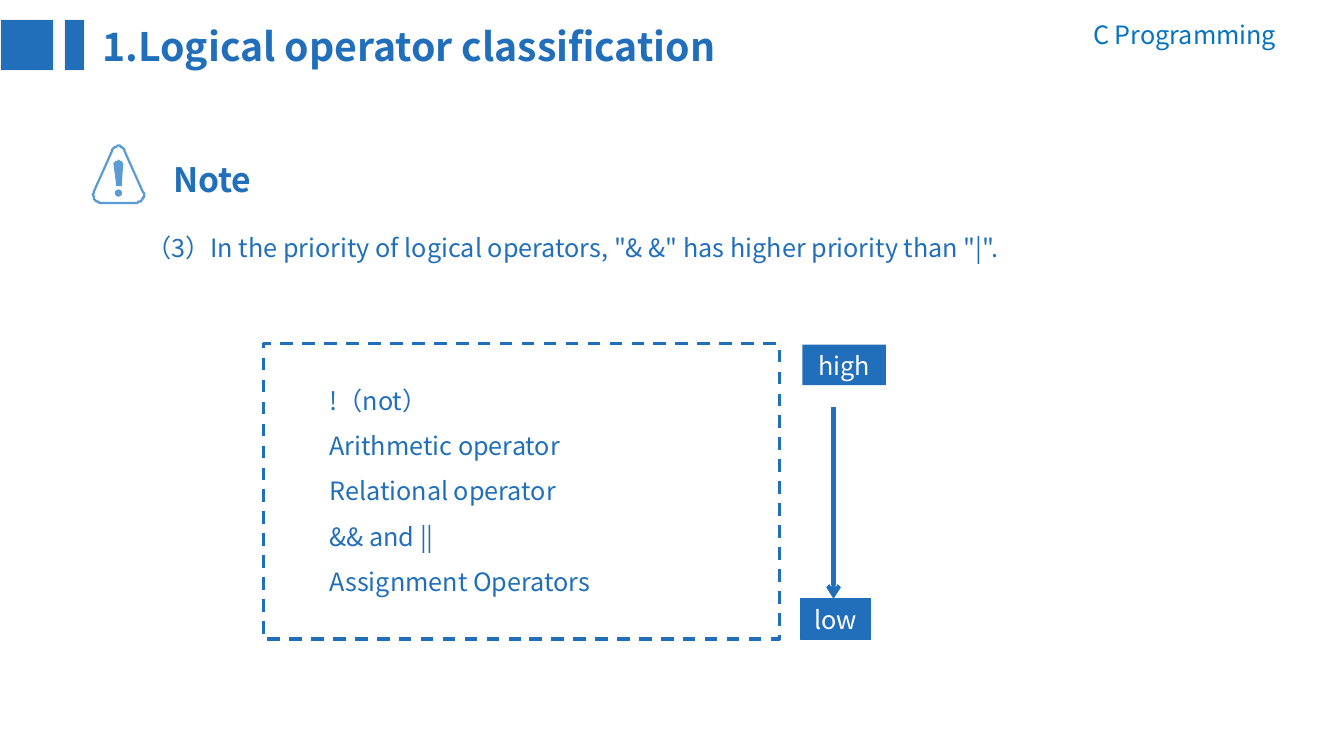
from dataclasses import dataclass
from math import hypot

from lxml.etree import SubElement
from pptx import Presentation
from pptx.dml.color import RGBColor
from pptx.enum.dml import MSO_LINE
from pptx.enum.shapes import MSO_CONNECTOR, MSO_SHAPE
from pptx.enum.text import MSO_ANCHOR, PP_ALIGN
from pptx.oxml.ns import qn
from pptx.shapes.autoshape import Shape
from pptx.text.text import TextFrame
from pptx.util import Pt


@dataclass(frozen=True)
class Theme:
    font: str = "Noto Sans CJK SC"
    blue: RGBColor = RGBColor(0x21, 0x6F, 0xBA)
    course: RGBColor = RGBColor(0x05, 0x73, 0xC2)
    icon: RGBColor = RGBColor(0x5B, 0x9B, 0xD5)
    pale: RGBColor = RGBColor(0xF2, 0xF2, 0xF2)
    white: RGBColor = RGBColor(0xFF, 0xFF, 0xFF)
    title: int = 28
    heading: int = 24
    body: int = 18


THEME = Theme()


@dataclass(frozen=True)
class Box:
    left: float
    top: float
    width: float
    height: float

    def lengths(self) -> tuple[Pt, Pt, Pt, Pt]:
        return Pt(self.left), Pt(self.top), Pt(self.width), Pt(self.height)


@dataclass(frozen=True)
class Label:
    box: Box
    text: str
    size: int = THEME.body
    color: RGBColor = THEME.blue
    bold: bool = False
    align: PP_ALIGN = PP_ALIGN.LEFT
    spacing: float = 1.0


@dataclass(frozen=True)
class Block:
    box: Box
    text: str = ""
    fill: RGBColor | None = THEME.blue
    line: RGBColor | None = None
    line_width: float = 1
    dash: MSO_LINE | None = None
    preset: MSO_SHAPE = MSO_SHAPE.RECTANGLE


@dataclass(frozen=True)
class Corner:
    x: float
    y: float
    trim: float

    def toward(self, other: "Corner") -> tuple[float, float]:
        share = self.trim / hypot(other.x - self.x, other.y - self.y)
        return self.x + (other.x - self.x) * share, self.y + (other.y - self.y) * share


presentation = Presentation()
presentation.slide_width, presentation.slide_height = Pt(960), Pt(540)
slide = presentation.slides.add_slide(presentation.slide_layouts[6])


def write(frame: TextFrame, label: Label) -> None:
    frame.text = label.text
    frame.word_wrap = True
    for paragraph in frame.paragraphs:
        paragraph.alignment = label.align
        paragraph.line_spacing = label.spacing
        for run in paragraph.runs:
            run.font.name = THEME.font
            run.font.size = Pt(label.size)
            run.font.bold = label.bold
            run.font.color.rgb = label.color
            SubElement(run.font._element, qn("a:ea"), typeface=THEME.font)


def add_label(label: Label) -> None:
    write(slide.shapes.add_textbox(*label.box.lengths()).text_frame, label)


def paint(shape: Shape, fill: RGBColor | None, line: RGBColor | None, width: float = 1) -> None:
    shape.shadow.inherit = False
    if fill is None:
        shape.fill.background()
    else:
        shape.fill.solid()
        shape.fill.fore_color.rgb = fill
    if line is None:
        shape.line.fill.background()
    else:
        shape.line.color.rgb = line
        shape.line.width = Pt(width)


def add_block(block: Block) -> None:
    shape = slide.shapes.add_shape(block.preset, *block.box.lengths())
    paint(shape, block.fill, block.line, block.line_width)
    if block.dash:
        shape.line.dash_style = block.dash
    if block.text:
        write(shape.text_frame, Label(block.box, block.text, color=THEME.white, align=PP_ALIGN.CENTER))
        shape.text_frame.vertical_anchor = MSO_ANCHOR.MIDDLE


def add_rounded(corners: list[Corner], fill: RGBColor | None, line: RGBColor | None,
                width: float = 1, pull: float = 0.43, steps: int = 12) -> None:
    """Draw a polygon whose corners are Bezier arcs."""
    points = []
    for index, corner in enumerate(corners):
        start = corner.toward(corners[index - 1])
        end = corner.toward(corners[(index + 1) % len(corners)])
        tip = (corner.x, corner.y)
        for step in range(steps + 1):
            t = step / steps
            points.append(tuple(
                (1 - t) ** 3 * a + 3 * (1 - t) ** 2 * t * (a + (c - a) * pull)
                + 3 * (1 - t) * t ** 2 * (b + (c - b) * pull) + t ** 3 * b
                for a, b, c in zip(start, end, tip)))
    builder = slide.shapes.build_freeform(*points[0], scale=Pt(1))
    builder.add_line_segments(points[1:], close=True)
    paint(builder.convert_to_shape(), fill, line, width)


def add_arrow(x: float, top: float, bottom: float) -> None:
    arrow = slide.shapes.add_connector(MSO_CONNECTOR.STRAIGHT, Pt(x), Pt(top), Pt(x), Pt(bottom))
    arrow.line.color.rgb = THEME.blue
    arrow.line.width = Pt(3)
    SubElement(arrow.line._get_or_add_ln(), qn("a:tailEnd"), type="arrow")
    SubElement(arrow._element.spPr, qn("a:effectLst"))


# Header
add_label(Label(Box(702.7, 10, 216, 29), "C Programming", color=THEME.course, align=PP_ALIGN.RIGHT))
add_label(Label(Box(66.2, 12.2, 582, 41), "1.Logical operator classification", THEME.title, bold=True))
for left, width in ((0, 38.6), (46, 14.4)):
    add_block(Block(Box(left, 13.8, width, 36.7), line=THEME.pale))

# Note with warning sign
add_label(Label(Box(116.6, 104.4, 289, 42), "Note", THEME.heading, bold=True, spacing=1.2))
warning_triangle = [Corner(84.6, 97, 11.7), Corner(105.6, 144.7, 8), Corner(63.6, 144.7, 8)]
exclamation_bar = [Corner(81, 114.5, 3), Corner(88.2, 114.5, 3),
                   Corner(86.6, 133.4, 1), Corner(82.6, 133.4, 1)]
add_rounded(warning_triangle, None, THEME.icon, 1.6)
add_rounded(exclamation_bar, THEME.icon, None)
add_block(Block(Box(82, 135.3, 5.2, 5.2), fill=THEME.icon, preset=MSO_SHAPE.OVAL))
add_label(Label(Box(97.2, 157, 726.5, 34.6),
                '（3）In the priority of logical operators, "& &" has higher priority than "|".',
                spacing=1.25))

# Operators from highest to lowest priority
OPERATORS = ["!（not）", "Arithmetic operator", "Relational operator", "&& and ||", "Assignment Operators"]
add_label(Label(Box(228.2, 260.6, 306, 170.6), "\n".join(OPERATORS), spacing=1.5))
add_block(Block(Box(188, 245.5, 368.6, 211), fill=None, line=THEME.blue,
                line_width=2.25, dash=MSO_LINE.DASH))

# Priority scale
add_block(Block(Box(573.1, 246.2, 59.8, 29), "high"))
add_arrow(595.4, 291, 427.7)
add_block(Block(Box(571.7, 427.7, 50.4, 29), "low", line=THEME.blue, line_width=0.75))

presentation.save("out.pptx")
